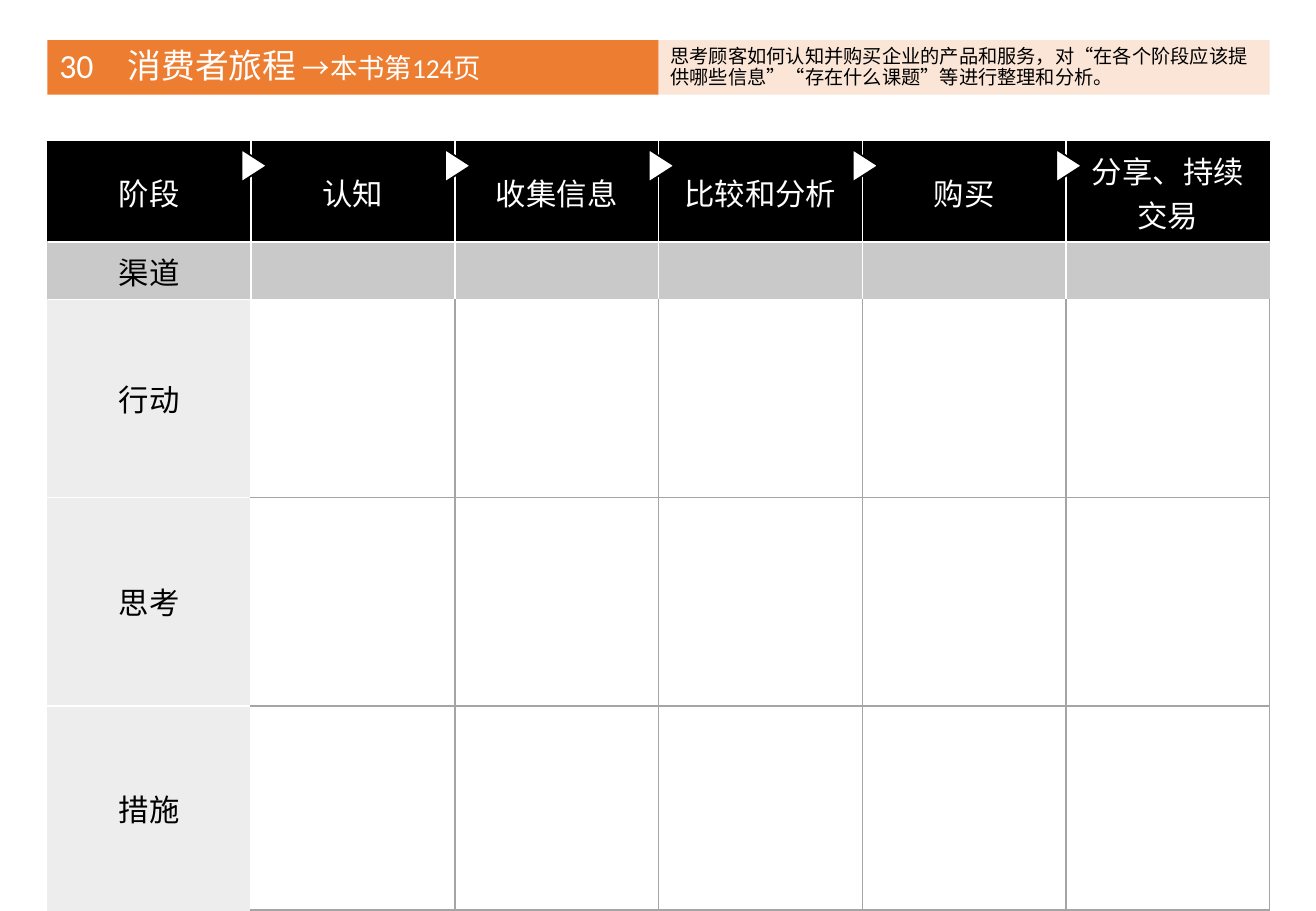
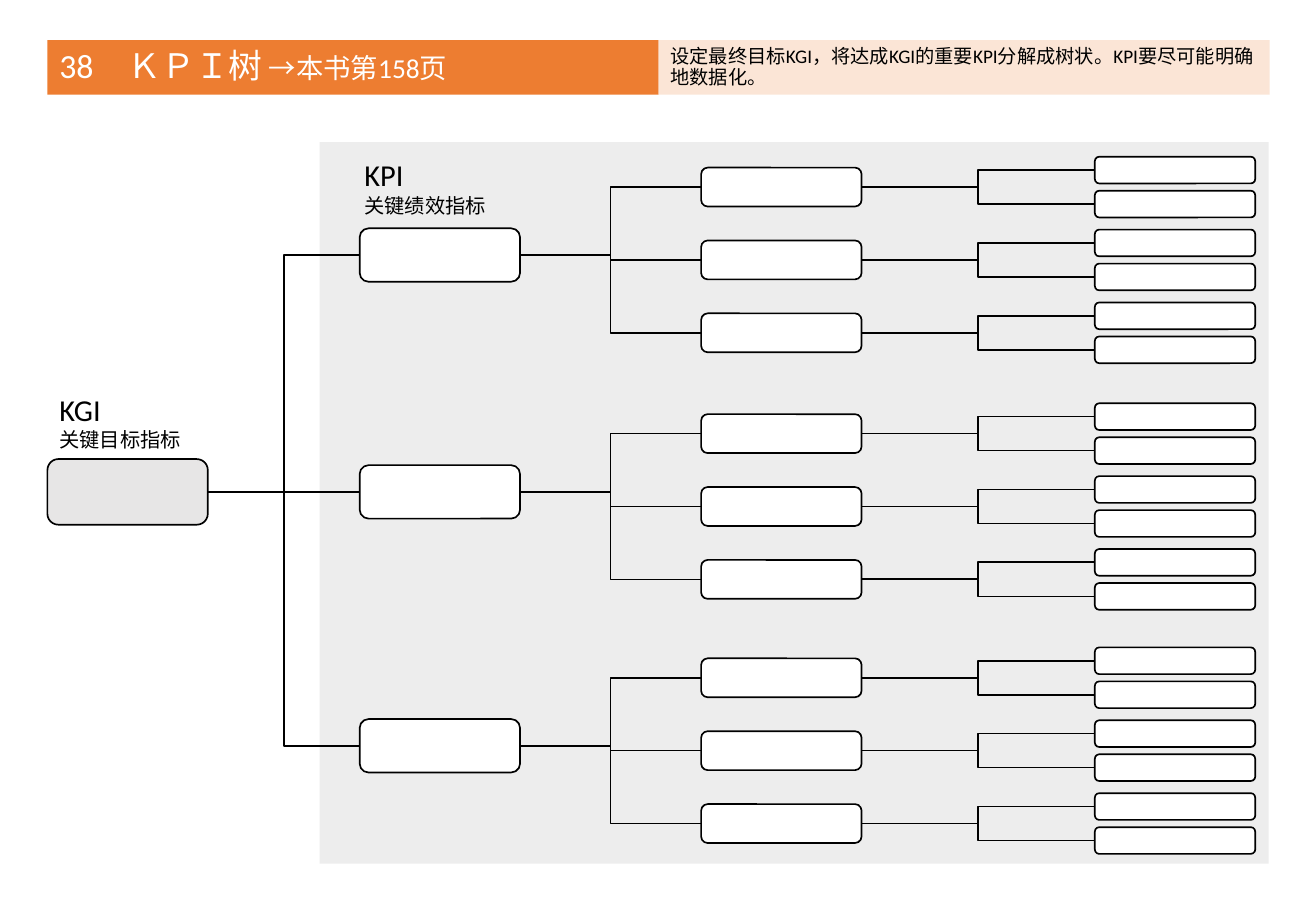
from lxml.etree import SubElement
from pptx import Presentation
from pptx.dml.color import RGBColor
from pptx.enum.lang import MSO_LANGUAGE_ID as LANG
from pptx.enum.shapes import MSO_CONNECTOR as CONN, MSO_SHAPE as SHAPE
from pptx.enum.text import MSO_ANCHOR as ANCHOR, PP_ALIGN as ALIGN
from pptx.oxml.ns import qn
from pptx.util import Inches, Pt

COLORS = {
    "title": "ED7D31", "summary": "FBE5D6", "black": "000000", "white": "FFFFFF",
    "channel": "C9C9C9", "pale": "EDEDED", "goal": "E7E6E6", "grid": "A5A5A5",
}
FONT = "Calibri"
SLIDE_W, SLIDE_H = 10.83, 7.5
MARGIN, CONTENT_W = 0.39, 10.06
COL = CONTENT_W / 6
BAND_TOP, BAND_H, BODY_TOP = 0.33, 0.45, 1.17

STAGES = ["阶段", "认知", "收集信息", "比较和分析", "购买", "分享、持续交易"]
ROWS = [("阶段", 0.42, "black", "black"), ("渠道", 0.47, "channel", "channel"),
        ("行动", 1.63, "pale", "white"), ("思考", 1.72, "pale", "white"),
        ("措施", 1.68, "pale", "white")]

NODE_W = 1.32
LEVEL_X = [0.39, 2.96, 5.77, 9.01]
LEVEL_H = [0.54, 0.44, 0.32, 0.22]
GOAL_Y = 4.05
BRANCHES = [(2.1, 1.54), (4.05, 3.57), (6.14, 5.58)]
FACTOR_STEP, LEAF_STEP = 0.6, 0.28


def rgb(name):
    """Return the named palette colour."""
    return RGBColor.from_string(COLORS[name])


def style(font, size=None, color=None):
    """Set family, language and, if given, size and colour."""
    font.name = FONT
    font.language_id = LANG.SIMPLIFIED_CHINESE
    if size:
        font.size = Pt(size)
    if color:
        font.color.rgb = rgb(color)


def add_box(s, kind, x, y, w, h, fill, line=None):
    """Add a flat preset shape, outlined if a line colour is given."""
    sp = s.shapes.add_shape(kind, Inches(x), Inches(y), Inches(w), Inches(h))
    sp.shadow.inherit = False
    sp.fill.solid()
    sp.fill.fore_color.rgb = rgb(fill)
    if line:
        sp.line.color.rgb = rgb(line)
        sp.line.width = Pt(1)
    else:
        sp.line.fill.background()
    return sp


def add_band(s, column, fill, color, runs):
    """Add half of the header band, holding (text, size) runs."""
    sp = add_box(s, SHAPE.RECTANGLE, MARGIN + column * COL, BAND_TOP, 3 * COL, BAND_H, fill)
    tf = sp.text_frame
    tf.word_wrap = True
    tf.vertical_anchor = ANCHOR.MIDDLE
    p = tf.paragraphs[0]
    p.alignment = ALIGN.LEFT
    p.line_spacing = 0.9
    style(p.font, color=color)
    for text, size in runs:
        r = p.add_run()
        r.text = text
        r.font.size = Pt(size)


def add_header(s, title, page, summary):
    """Add the title with its page reference, and the summary."""
    add_band(s, 0, "title", "white", [(title, 20), (f" →本书第{page}页", 16.2)])
    add_band(s, 3, "summary", "black", [(summary, 11.4)])


def add_label(s, x, y, w, abbreviation, name):
    """Add an indicator's abbreviation above its full name."""
    tf = s.shapes.add_textbox(Inches(x), Inches(y), Inches(w), Inches(0.61)).text_frame
    tf.word_wrap = True
    tf.text = f"{abbreviation}\n{name}"
    for p, size in zip(tf.paragraphs, (18, 12)):
        style(p.font, size, "black")


def side_color(row, edge):
    """Return the colour of a vertical cell edge."""
    fill = ROWS[row][2]
    if edge == 0:
        return fill
    if row < 2:
        return fill if edge == len(STAGES) else "white"
    return "white" if edge == 1 else "grid"


def level_color(edge, col):
    """Return the colour of a horizontal cell edge."""
    if edge == 0:
        return "black"
    if edge < 3:
        return "white"
    if col:
        return "grid"
    return "pale" if edge == len(ROWS) else "white"


def set_borders(cell, row, col):
    """Draw the four borders of a cell."""
    tcPr = cell._tc.get_or_add_tcPr()
    sides = {"L": side_color(row, col), "R": side_color(row, col + 1),
             "T": level_color(row, col), "B": level_color(row + 1, col)}
    for side, color in sides.items():
        ln = SubElement(tcPr, qn(f"a:ln{side}"), w=str(Pt(1)))
        SubElement(SubElement(ln, qn("a:solidFill")), qn("a:srgbClr"), val=COLORS[color])


def add_journey(s):
    """Add the table of stages."""
    height = sum(row[1] for row in ROWS)
    table = s.shapes.add_table(len(ROWS), len(STAGES), Inches(MARGIN), Inches(BODY_TOP),
                               Inches(CONTENT_W), Inches(height)).table
    table.first_row = table.horz_banding = False
    for i, (label, row_h, head_fill, fill) in enumerate(ROWS):
        table.rows[i].height = Inches(row_h)
        for j, stage in enumerate(STAGES):
            cell = table.cell(i, j)
            set_borders(cell, i, j)
            cell.fill.solid()
            cell.fill.fore_color.rgb = rgb(fill if j else head_fill)
            cell.vertical_anchor = ANCHOR.MIDDLE
            text = stage if i == 0 else "" if j else label
            p = cell.text_frame.paragraphs[0]
            p.alignment = ALIGN.CENTER
            style(p.font, 18, "white" if i == 0 else "black")
            if text:
                p.add_run().text = text


def add_node(s, level, y, parent=None):
    """Add a tree node centred at y and join it to its parent."""
    h = LEVEL_H[level]
    sp = add_box(s, SHAPE.ROUNDED_RECTANGLE, LEVEL_X[level], y - h / 2, NODE_W, h,
                 "white" if parent else "goal", "black")
    if parent:
        line = s.shapes.add_connector(CONN.ELBOW, 0, 0, 0, 0)
        line.begin_connect(parent, 3)
        line.end_connect(sp, 1)
        line.line.color.rgb = rgb("black")
        line.line.width = Pt(1)
        SubElement(line._element.spPr, qn("a:effectLst"))
    return sp


def add_tree(s):
    """Add the goal, its indicators, their factors and the leaves."""
    goal = add_node(s, 0, GOAL_Y)
    for indicator_y, first_factor_y in BRANCHES:
        indicator = add_node(s, 1, indicator_y, goal)
        for i in range(3):
            y = first_factor_y + i * FACTOR_STEP
            factor = add_node(s, 2, y, indicator)
            for side in (-1, 1):
                add_node(s, 3, y + side * LEAF_STEP / 2, factor)


def journey_slide(prs):
    """Build the consumer journey slide."""
    s = prs.slides.add_slide(prs.slide_layouts[6])
    add_header(s, "30　消费者旅程", 124,
               "思考顾客如何认知并购买企业的产品和服务，对“在各个阶段应该提供哪些信息”“存在什么课题”等进行整理和分析。")
    add_journey(s)
    for edge in range(1, len(STAGES)):
        sp = add_box(s, SHAPE.ISOSCELES_TRIANGLE, MARGIN + edge * COL - 0.11, 1.26, 0.27, 0.21,
                     "white", "black")
        sp.rotation = 90


def tree_slide(prs):
    """Build the indicator tree slide."""
    s = prs.slides.add_slide(prs.slide_layouts[6])
    add_box(s, SHAPE.RECTANGLE, 2.63, BODY_TOP, 7.81, 5.94, "pale")
    add_header(s, "38　ＫＰＩ树", 158,
               "设定最终目标KGI，将达成KGI的重要KPI分解成树状。KPI要尽可能明确地数据化。")
    add_tree(s)
    add_label(s, MARGIN, 3.17, 1.56, "KGI", "关键目标指标")
    add_label(s, 2.9, 1.24, 1.71, "KPI", "关键绩效指标")


def main():
    """Build and save the presentation."""
    prs = Presentation()
    prs.slide_width, prs.slide_height = Inches(SLIDE_W), Inches(SLIDE_H)
    journey_slide(prs)
    tree_slide(prs)
    prs.save("out.pptx")


if __name__ == "__main__":
    main()
